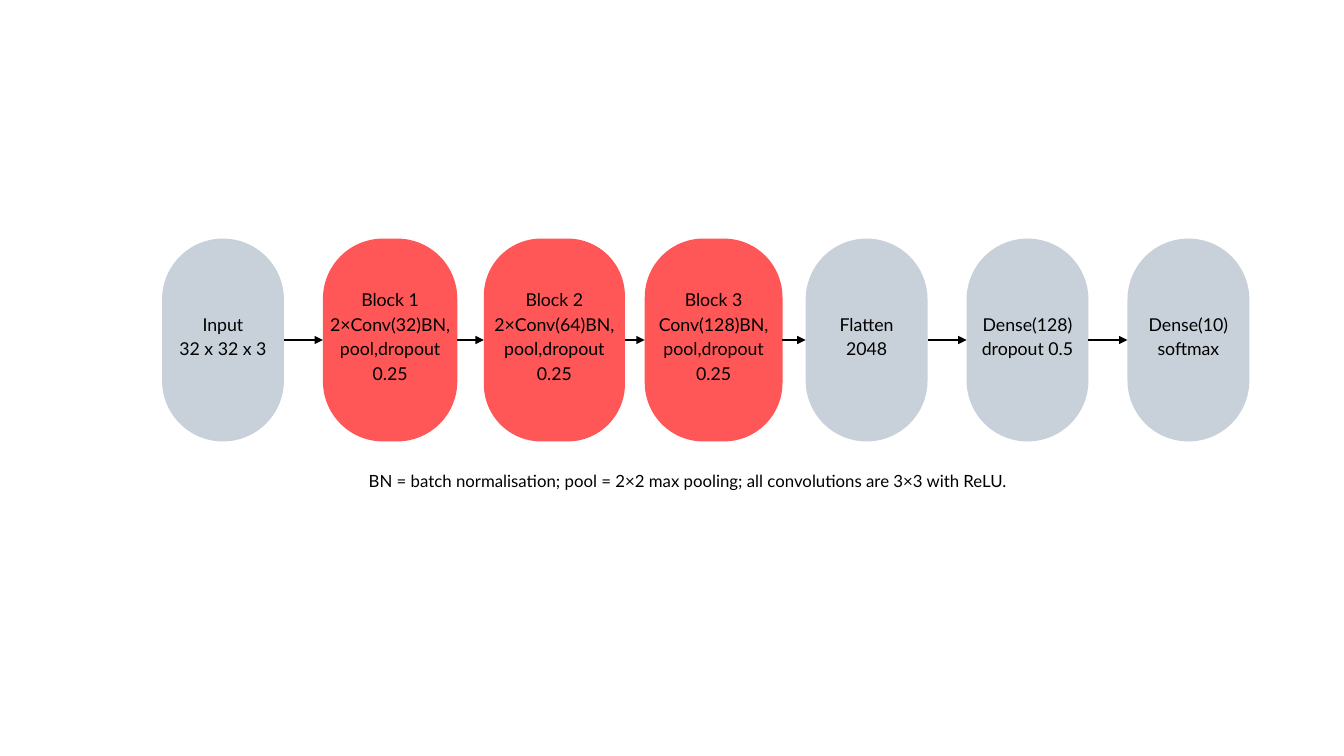
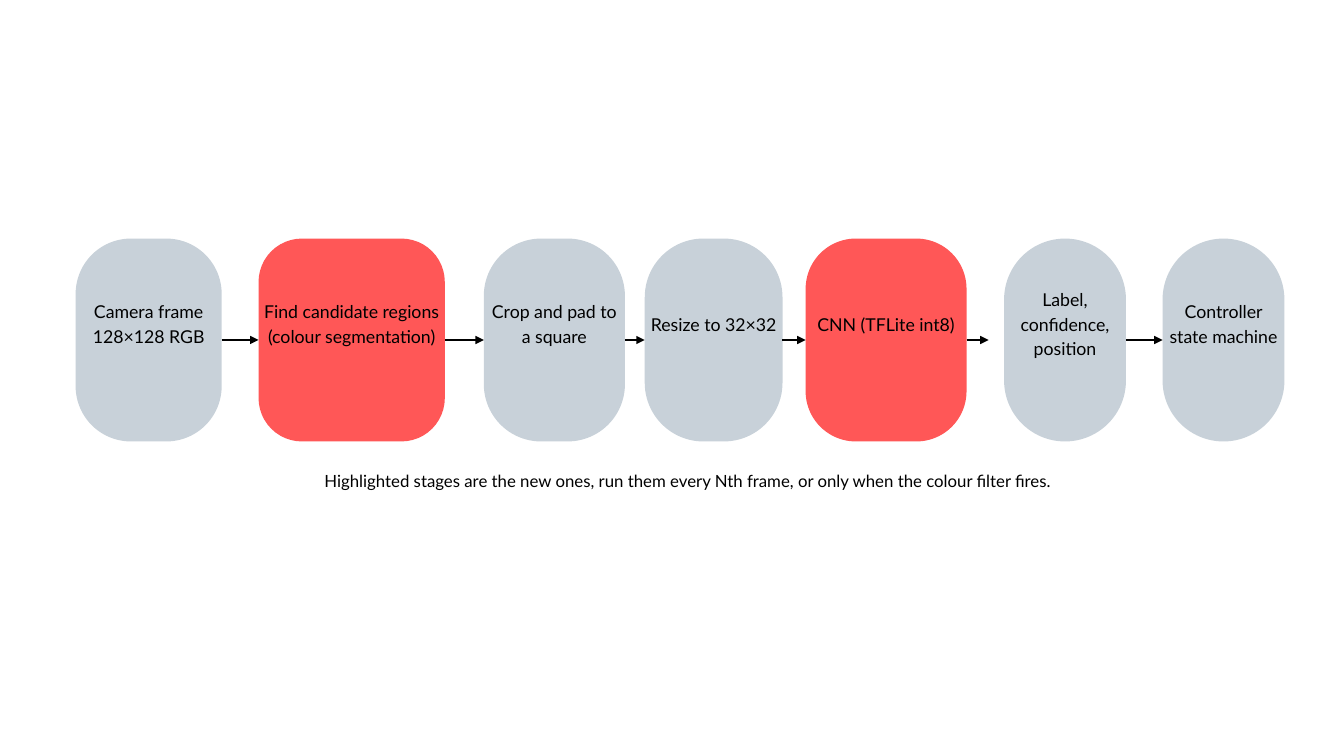
from dataclasses import dataclass

from lxml import etree
from pptx import Presentation
from pptx.dml.color import RGBColor
from pptx.enum import shapes as shape_types, text as text_types
from pptx.oxml import ns
from pptx.util import Pt

# Shared look
FONT = "Lato"
BLACK, GREY, RED = "000000", "C8D1D9", "FF5757"
SLIDE_WIDTH, SLIDE_HEIGHT = 1440, 810
ROW_TOP, ROW_HEIGHT = 255.6, 217.4
ROW_MIDDLE = ROW_TOP + ROW_HEIGHT / 2
LABEL_RISE = 11.5
LABEL_INSET = 4
LABEL_SPACING = 26.6
CORNER_FACTOR = 9280  # corner radius times stage width
NARROW = 130.6
CAPTION_MIDDLE, CAPTION_TOP, CAPTION_HEIGHT = 736.8, 500.4, 23


@dataclass
class Stage:
    label: str
    left: float
    width: float = NARROW
    color: str = GREY
    arrow_gap: float = 0  # space left between the arrow tip and this stage


def rgb(hex_color):
    return RGBColor.from_string(hex_color)


def add_text(parent, text, left, top, width, height, size=19, spacing=LABEL_SPACING,
             inset=0, bottom_inset=0, anchor=text_types.MSO_ANCHOR.TOP):
    """Add a centred text box; each line of text becomes a paragraph."""
    box = parent.add_textbox(Pt(left), Pt(top), Pt(width), Pt(height))
    frame = box.text_frame
    frame.word_wrap = True
    frame.vertical_anchor = anchor
    frame.margin_left = frame.margin_right = frame.margin_top = Pt(inset)
    frame.margin_bottom = Pt(bottom_inset)
    frame.text = text
    for paragraph in frame.paragraphs:
        paragraph.alignment = text_types.PP_ALIGN.CENTER
        paragraph.line_spacing = Pt(spacing)
        paragraph.font.name = FONT
        paragraph.font.size = Pt(size)
        paragraph.font.color.rgb = rgb(BLACK)


def add_stage(slide, stage, room_below):
    """Add a rounded stage with its label, kept together in a group."""
    group = slide.shapes.add_group_shape()
    body = group.shapes.add_shape(
        shape_types.MSO_SHAPE.ROUNDED_RECTANGLE,
        Pt(stage.left), Pt(ROW_TOP), Pt(stage.width), Pt(ROW_HEIGHT))
    body.adjustments[0] = min(0.5, CORNER_FACTOR / stage.width ** 2)
    body.shadow.inherit = False
    body.fill.solid()
    body.fill.fore_color.rgb = rgb(stage.color)
    body.line.fill.background()
    add_text(group.shapes, stage.label, stage.left, ROW_TOP - LABEL_RISE,
             stage.width, ROW_HEIGHT + LABEL_RISE, inset=LABEL_INSET,
             bottom_inset=LABEL_INSET + room_below,
             anchor=text_types.MSO_ANCHOR.MIDDLE)


def add_arrow(slide, start, end):
    arrow = slide.shapes.add_connector(
        shape_types.MSO_CONNECTOR.STRAIGHT,
        Pt(start), Pt(ROW_MIDDLE), Pt(end), Pt(ROW_MIDDLE))
    arrow.line.color.rgb = rgb(BLACK)
    arrow.line.width = Pt(3)
    etree.SubElement(arrow.line._get_or_add_ln(), ns.qn("a:tailEnd"), type="triangle")
    etree.SubElement(arrow._element.spPr, ns.qn("a:effectLst"))


def add_flow_slide(presentation, stages, caption, caption_width, room_below=0):
    slide = presentation.slides.add_slide(presentation.slide_layouts[6])
    for stage in stages:
        add_stage(slide, stage, room_below)
    for stage, following in zip(stages, stages[1:]):
        add_arrow(slide, stage.left + stage.width, following.left - following.arrow_gap)
    add_text(slide.shapes, caption, CAPTION_MIDDLE - caption_width / 2, CAPTION_TOP,
             caption_width, CAPTION_HEIGHT, size=18, spacing=25.2)


def main():
    presentation = Presentation()
    presentation.slide_width = Pt(SLIDE_WIDTH)
    presentation.slide_height = Pt(SLIDE_HEIGHT)

    # Network layers, at an even pitch
    layers = [
        ("Input\n32 x 32 x 3", NARROW, GREY),
        ("Block 1\n2×Conv(32)BN, pool,dropout 0.25", 144, RED),
        ("Block 2\n2×Conv(64)BN, pool,dropout 0.25", 151.2, RED),
        ("Block 3\nConv(128)BN, pool,dropout 0.25", 147.6, RED),
        ("Flatten\n2048", NARROW, GREY),
        ("Dense(128)\ndropout 0.5", NARROW, GREY),
        ("Dense(10)\nsoftmax", NARROW, GREY),
    ]
    first_left, pitch = 173.6, 172.4
    network = [Stage(label, first_left + pitch * index, width, color)
               for index, (label, width, color) in enumerate(layers)]
    add_flow_slide(
        presentation, network,
        "BN = batch normalisation; pool = 2×2 max pooling; "
        "all convolutions are 3×3 with ReLU.", 736.6)

    # Vision pipeline, labels raised by half a line
    pipeline = [
        Stage("Camera frame\n128×128 RGB", 81, 156.5),
        Stage("Find candidate regions (colour segmentation)", 277, 199.6, RED),
        Stage("Crop and pad to a square", 518.4, 151.2),
        Stage("Resize to 32×32", 690.8, 147.6),
        Stage("CNN (TFLite int8)", 863.2, 172.4, RED),
        Stage("Label, confidence, position", 1075.8, arrow_gap=16.6),
        Stage("Controller state machine", 1245.6),
    ]
    add_flow_slide(
        presentation, pipeline,
        "Highlighted stages are the new ones, run them every Nth frame, "
        "or only when the colour filter fires.", 852.5, room_below=LABEL_SPACING)

    presentation.save("out.pptx")


if __name__ == "__main__":
    main()
